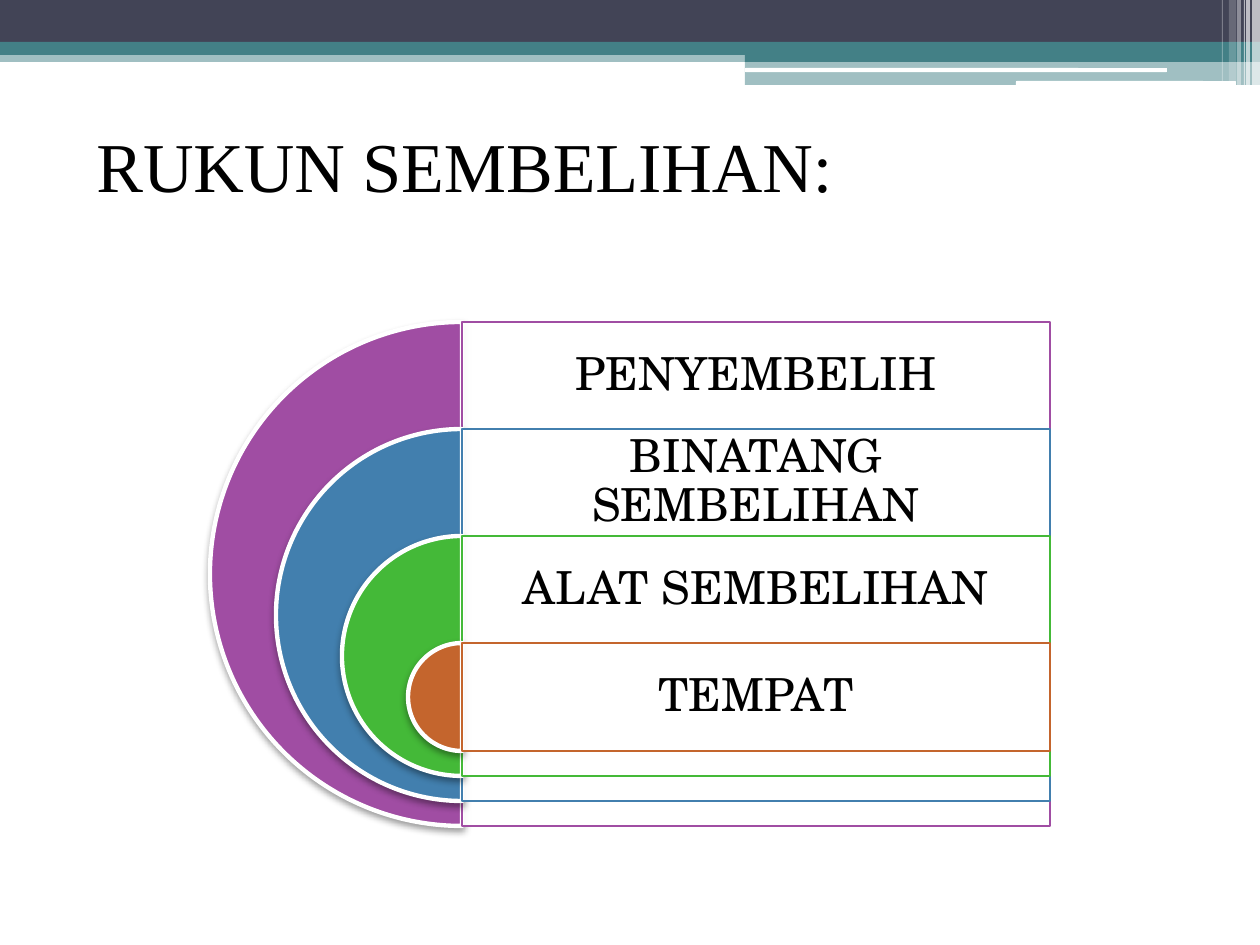
from dataclasses import dataclass

from pptx import Presentation
from pptx.dml.color import RGBColor
from pptx.enum.shapes import MSO_SHAPE
from pptx.enum.text import MSO_ANCHOR, PP_ALIGN
from pptx.oxml import parse_xml
from pptx.oxml.ns import nsdecls, qn
from pptx.util import Emu, Pt
from lxml.etree import SubElement

EMU_PER_PX = 914400 / 126
PAGE_WIDTH, PAGE_HEIGHT = 1260, 945


@dataclass(frozen=True)
class Theme:
    white: str = "FFFFFF"
    black: str = "000000"
    navy: str = "424456"
    teal: str = "438086"
    rings: tuple = ("A04DA3", "427FAE", "44B938", "C4652D")
    title_font: str = "Times New Roman"
    label_font: str = "TeX Gyre Schola"
    title_size: int = 40
    label_size: int = 26
    ring_line: float = 2.5
    panel_line: float = 1.5


def px(length):
    return Emu(round(length * EMU_PER_PX))


class SlideBuilder:
    def __init__(self, page, theme):
        self.theme = theme
        self.page = page
        self.shapes = page.shapes

    def start_group(self):
        """Send the elements that follow into a new group."""
        self.shapes = self.page.shapes.add_group_shape().shapes

    def end_group(self):
        self.shapes = self.page.shapes

    def shape(self, kind, box, fill, opacity=100, line=None, line_width=0):
        shape = self.shapes.add_shape(kind, *map(px, box))
        shape.shadow.inherit = False
        shape.fill.solid()
        shape.fill.fore_color.rgb = RGBColor.from_string(fill)
        if opacity < 100:
            color = shape.fill._xPr.find(qn("a:solidFill"))[0]
            SubElement(color, qn("a:alpha"), val=str(opacity * 1000))
        if line:
            shape.line.color.rgb = RGBColor.from_string(line)
            shape.line.width = Pt(line_width)
        else:
            shape.line.fill.background()
        return shape

    def band(self, box, fill, opacity=100, rounded=False):
        kind = MSO_SHAPE.ROUNDED_RECTANGLE if rounded else MSO_SHAPE.RECTANGLE
        return self.shape(kind, box, fill, opacity)

    def half_disc(self, box, fill):
        """Draw the left half of the disc that fills the box."""
        disc = self.shape(MSO_SHAPE.PIE, box, fill, line=self.theme.white,
                          line_width=self.theme.ring_line)
        disc.adjustments[0], disc.adjustments[1] = 54, 162
        effects = disc._element.spPr.find(qn("a:effectLst"))
        effects.append(parse_xml(
            f'<a:outerShdw {nsdecls("a")} blurRad="{Pt(4.1)}" dist="{Pt(2)}" '
            f'dir="5400000" rotWithShape="0"><a:srgbClr val="{self.theme.black}">'
            '<a:alpha val="40000"/></a:srgbClr></a:outerShdw>'))

    def panel(self, box, line):
        self.shape(MSO_SHAPE.RECTANGLE, box, self.theme.white, 90, line,
                   self.theme.panel_line)

    def text(self, box, words, font, size):
        box = self.shapes.add_textbox(*map(px, box))
        frame = box.text_frame
        frame.word_wrap = True
        para = frame.paragraphs[0]
        para.text = words
        para.font.name = font
        para.font.size = Pt(size)
        para.font.color.rgb = RGBColor.from_string(self.theme.black)
        return frame

    def title(self, box, words):
        self.text(box, words, self.theme.title_font, self.theme.title_size)

    def label(self, box, words):
        frame = self.text(box, words, self.theme.label_font, self.theme.label_size)
        frame.vertical_anchor = MSO_ANCHOR.MIDDLE
        frame.margin_left = frame.margin_right = px(14)
        frame.margin_top = frame.margin_bottom = px(14)
        para = frame.paragraphs[0]
        para.alignment = PP_ALIGN.CENTER
        para.line_spacing = 0.9
        para.space_after = Pt(9)


def add_header(builder):
    theme = builder.theme
    builder.band((0, 50, PAGE_WIDTH, 12), theme.teal, 50)
    builder.band((0, 0, PAGE_WIDTH, 42), theme.navy)
    builder.band((0, 42, PAGE_WIDTH, 13), theme.teal)
    builder.band((745, 49, 515, 13), theme.teal)
    builder.band((745, 61, 515, 24), theme.teal, 50)
    builder.band((745, 68, 422, 4), theme.white, rounded=True)
    builder.band((1016, 81, 220, 5), theme.white, rounded=True)
    stripes = ((1252, 8, 85, 65), (1246, 4, 85, 65), (1244, 1, 85, 60),
               (1237, 4, 85, 40), (1229, 7, 81, 20), (1222, 1, 81, 30))
    for left, width, height, opacity in stripes:
        builder.band((left, 0, width, height), theme.white, opacity)


def add_nested_rings(builder, labels):
    center, top, panel_width = 462, 322, 588
    diameter, row, bottom_step = 504, 107, 25
    builder.start_group()
    for index, (words, color) in enumerate(zip(labels, builder.theme.rings)):
        size = diameter - index * (row + bottom_step)
        y = top + index * row
        builder.half_disc((center - size / 2, y, size, size), color)
        builder.panel((center, y, panel_width, size), color)
        builder.label((center, y, panel_width, row), words)
    builder.end_group()


def main():
    deck = Presentation()
    deck.slide_width, deck.slide_height = px(PAGE_WIDTH), px(PAGE_HEIGHT)
    page = deck.slides.add_slide(deck.slide_layouts[6])
    builder = SlideBuilder(page, Theme())
    add_header(builder)
    add_nested_rings(builder, ("PENYEMBELIH", "BINATANG SEMBELIHAN",
                               "ALAT SEMBELIHAN", "TEMPAT"))
    builder.title((84, 116, 840, 97), "RUKUN SEMBELIHAN:")
    deck.save("out.pptx")


if __name__ == "__main__":
    main()
